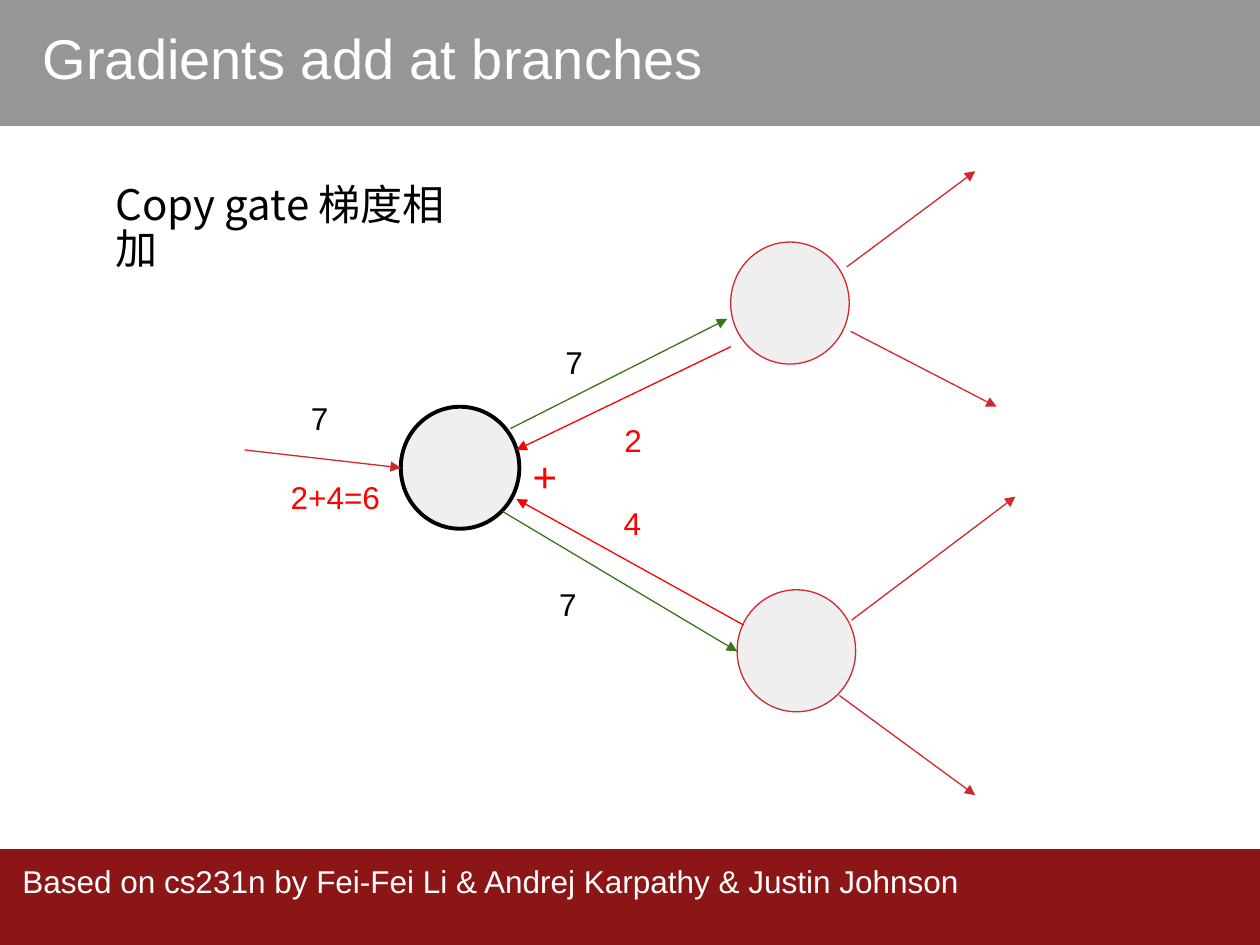
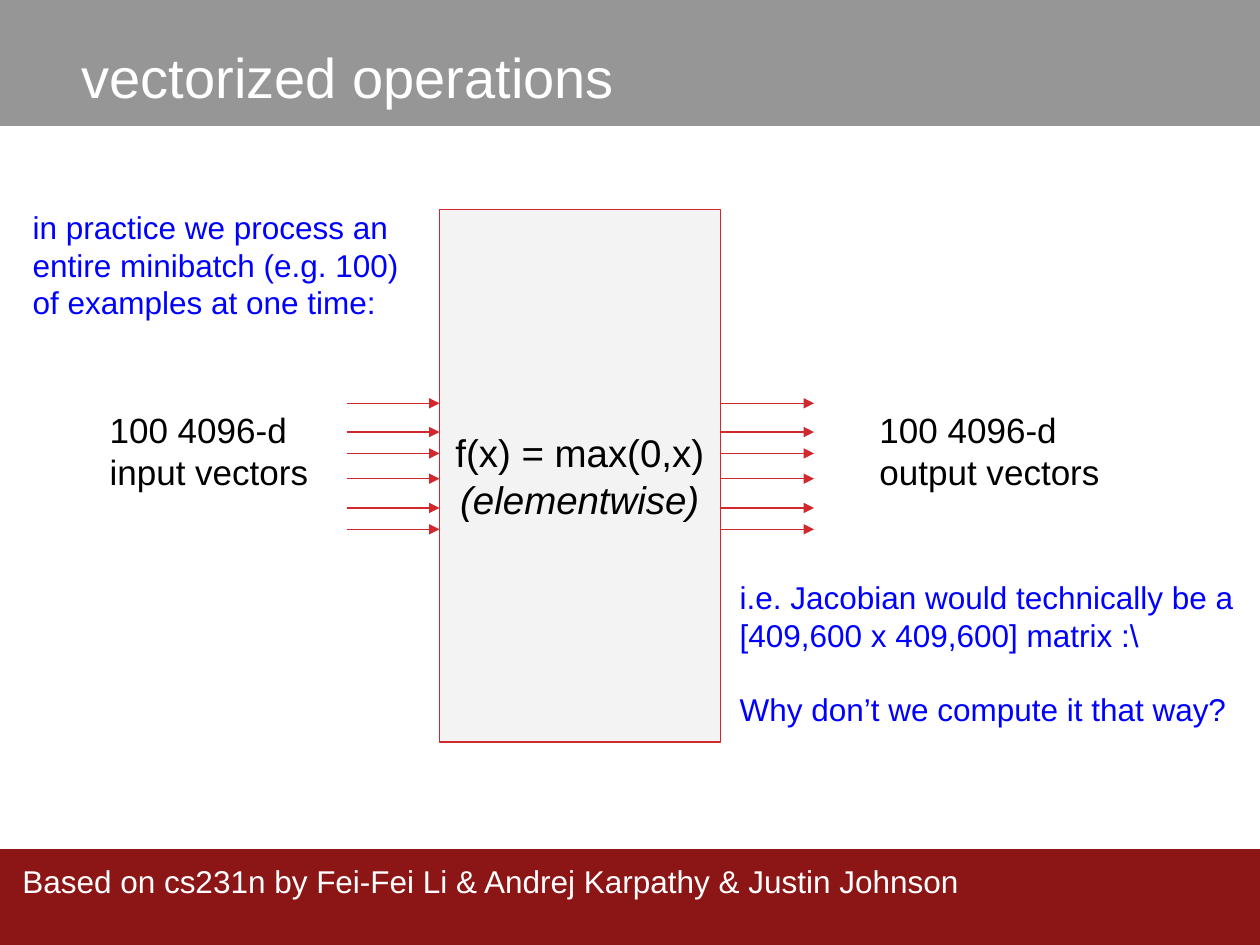
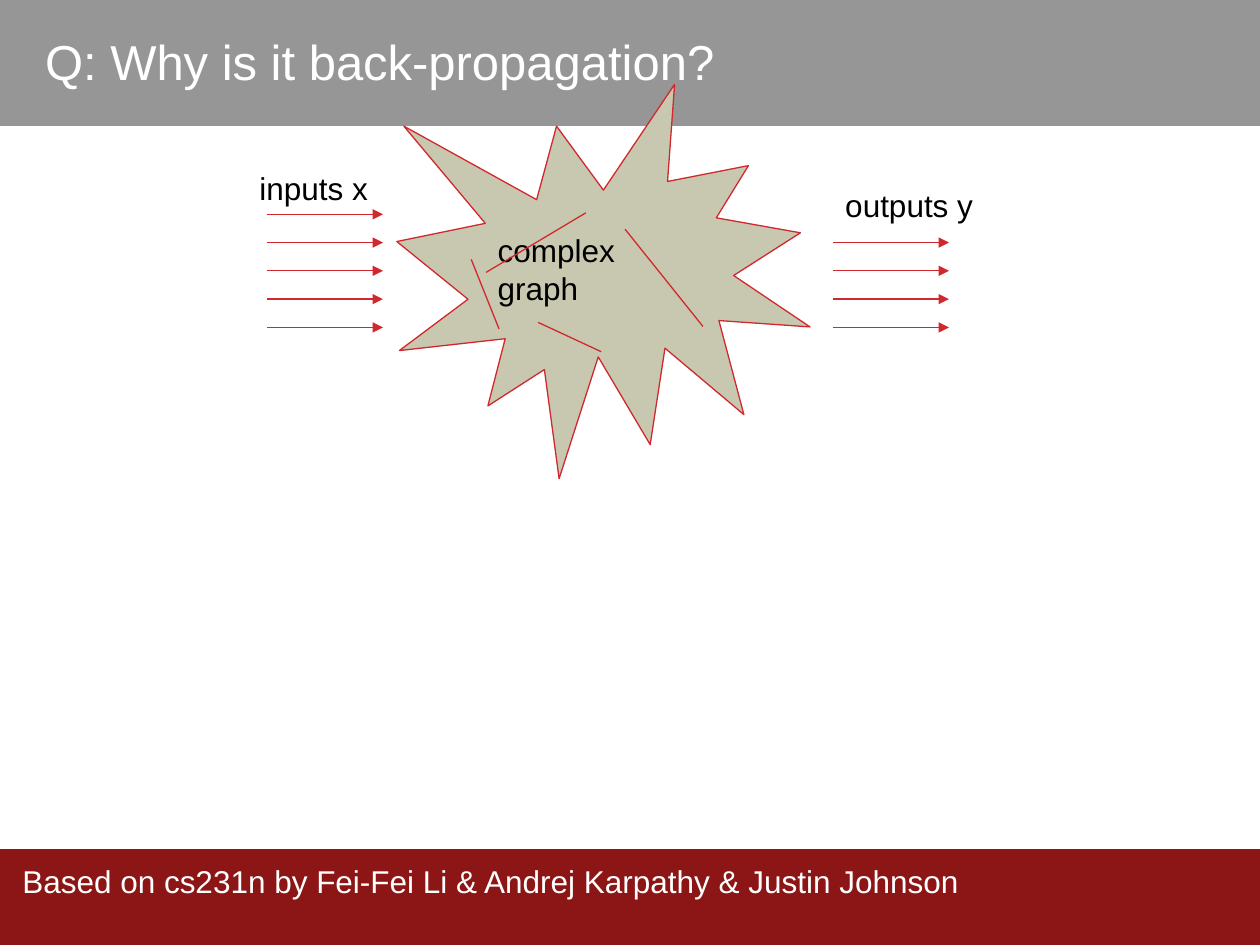
from lxml import etree
from pptx import Presentation
from pptx.dml.color import RGBColor
from pptx.enum.shapes import MSO_CONNECTOR as Connector, MSO_SHAPE as Preset
from pptx.enum.text import MSO_ANCHOR as Anchor, PP_ALIGN as Align
from pptx.oxml.ns import qn
from pptx.util import Cm, Pt

COLORS = {
    "band": "969696", "footer": "8C1515", "white": "FFFFFF", "black": "000000",
    "node": "EFEFEF", "gate": "F3F3F3", "graph": "C8C8B1", "line": "D1282E",
    "forward": "38761D", "gradient": "FF0000", "note": "0000FF",
}
FONT = "Arial"
CHINESE_FONT = "Noto Sans CJK SC"
FOOTER = "Based on cs231n by Fei-Fei Li & Andrej Karpathy & Justin Johnson"
INSET = 0.25
TIGHT = 0.13


def rgb(name):
    return RGBColor.from_string(COLORS[name])


def add_run(paragraph, text, size, color, font=FONT, italic=None):
    run = paragraph.add_run()
    run.text = text
    run.font.size = Pt(size)
    run.font.name = font
    run.font.italic = italic
    run.font.color.rgb = rgb(color)
    if font == CHINESE_FONT:
        east_asian = etree.SubElement(run.font._element, qn("a:ea"))
        east_asian.set("typeface", font)


def set_frame(frame, anchor=Anchor.TOP, vertical=INSET, wrap=True):
    frame.word_wrap = wrap
    frame.vertical_anchor = anchor
    frame.margin_left = frame.margin_right = Cm(INSET)
    frame.margin_top = frame.margin_bottom = Cm(vertical)


def write_lines(frame, lines, size, color, align=Align.LEFT, font=FONT):
    for index, line in enumerate(lines):
        paragraph = frame.add_paragraph() if index else frame.paragraphs[0]
        paragraph.alignment = align
        add_run(paragraph, line, size, color, font)


def add_text(slide, box, lines, size=18, color="black", font=FONT,
             vertical=INSET, wrap=True):
    shape = slide.shapes.add_textbox(*map(Cm, box))
    set_frame(shape.text_frame, vertical=vertical, wrap=wrap)
    write_lines(shape.text_frame, lines, size, color, font=font)
    return shape


def add_figure(slide, preset, box, fill, line=None, weight=0.75):
    shape = slide.shapes.add_shape(preset, *map(Cm, box))
    shape.shadow.inherit = False
    shape.fill.solid()
    shape.fill.fore_color.rgb = rgb(fill)
    if line:
        shape.line.color.rgb = rgb(line)
        shape.line.width = Pt(weight)
    else:
        shape.line.fill.background()
    return shape


def add_line(slide, start, end, color="line", arrow=True):
    connector = slide.shapes.add_connector(
        Connector.STRAIGHT, *map(Cm, (*start, *end)))
    connector.line.color.rgb = rgb(color)
    connector.line.width = Pt(0.75)
    if arrow:
        tail = etree.SubElement(connector.line._get_or_add_ln(), qn("a:tailEnd"))
        tail.set("type", "triangle")
    etree.SubElement(connector.element.spPr, qn("a:effectLst"))


def add_arrow_rows(slide, left, right, rows):
    for row in rows:
        add_line(slide, (left, row), (right, row))


def add_slide(presentation, title, box, size=32):
    """Start a slide with the bands, the footer and its title."""
    slide = presentation.slides.add_slide(presentation.slide_layouts[5])
    add_figure(slide, Preset.RECTANGLE, (0, 0, 25.4, 2.54), "band")
    add_figure(slide, Preset.RECTANGLE, (0, 17.12, 25.4, 1.93), "footer")
    add_text(slide, (0.2, 17.12, 25.2, 1.93), [FOOTER], color="white")

    shape = slide.shapes.title
    shape.left, shape.top, shape.width, shape.height = map(Cm, box)
    set_frame(shape.text_frame)
    write_lines(shape.text_frame, [title], size, "white")
    # Bring the title in front of the band
    shape.element.getparent().append(shape.element)
    return slide


def build_branches(presentation):
    slide = add_slide(presentation, "Gradients add at branches",
                      (0.61, 0.23, 19.28, 2.03))
    # Nodes
    for left, top, line, weight in [
        (8.08, 8.2, "black", 2.25),
        (14.73, 4.88, "line", 0.75),
        (14.86, 11.89, "line", 0.75),
    ]:
        add_figure(slide, Preset.OVAL, (left, top, 2.39, 2.46), "node", line, weight)

    # Forward values, gradients, and arrows in and out
    for start, end, color in [
        ((10.29, 8.64), (14.66, 6.43), "forward"),
        ((10.13, 10.31), (14.86, 13.13), "forward"),
        ((14.73, 6.99), (10.41, 9.07), "gradient"),
        ((14.99, 12.6), (10.41, 10.06), "gradient"),
        ((17.07, 5.38), (19.66, 3.45), "line"),
        ((17.15, 6.68), (20.09, 8.2), "line"),
        ((17.17, 12.5), (20.47, 10.01), "line"),
        ((16.92, 14.02), (19.66, 16.03), "line"),
        ((4.93, 9.07), (8.08, 9.43), "line"),
    ]:
        add_line(slide, start, end, color)

    # Labels
    add_text(slide, (10.49, 8.84, 1.09, 1.17), ["+"], 24, "gradient")
    caption = add_text(slide, (2.08, 3.61, 7.77, 1.27), ["Copy gate 梯度相加"], 24,
                       font=CHINESE_FONT, vertical=TIGHT)
    caption.text_frame.paragraphs[0].line_spacing = 0.87
    for left, top, width, label, color in [
        (6.02, 7.92, 0.86, "7", "black"),
        (11.15, 6.78, 0.86, "7", "black"),
        (11.02, 11.66, 0.86, "7", "black"),
        (12.34, 8.36, 0.86, "2", "gradient"),
        (12.32, 10.03, 0.86, "4", "gradient"),
        (5.61, 9.5, 2.34, "2+4=6", "gradient"),
    ]:
        add_text(slide, (left, top, width, 1.02), [label], color=color,
                 vertical=TIGHT, wrap=False)


def build_vectorized(presentation):
    slide = add_slide(presentation, "vectorized operations",
                      (1.4, 0.61, 20.19, 2.08))
    # Vectors entering and leaving the gate
    rows = [8.13, 8.71, 9.14, 9.65, 10.24, 10.67]
    for left, right in [(6.99, 8.86), (14.53, 16.41)]:
        add_arrow_rows(slide, left, right, rows)
    for left, width, kind in [(1.96, 6.76, "input"), (17.48, 5.23, "output")]:
        add_text(slide, (left, 7.98, width, 1.73),
                 ["100 4096-d", f"{kind} vectors"], 20)

    # Notes
    add_text(slide, (0.41, 3.94, 8.26, 2.41),
             ["in practice we process an entire minibatch (e.g. 100) "
              "of examples at one time:"], color="note")
    jacobian = add_text(slide, (14.66, 11.4, 10.72, 4.85),
                        ["i.e. Jacobian would technically be a",
                         "[409,600 x 409,600] matrix :\\",
                         "Why don’t we compute it that way?"], color="note")
    jacobian.text_frame.paragraphs[2].space_before = Pt(20.7)

    # Gate
    gate = add_figure(slide, Preset.RECTANGLE, (8.86, 4.22, 5.66, 10.74),
                      "gate", "line")
    set_frame(gate.text_frame, Anchor.MIDDLE)
    write_lines(gate.text_frame, ["f(x) = max(0,x)", "(elementwise)"], 22,
                "black", Align.CENTER)
    gate.text_frame.paragraphs[1].runs[0].font.italic = True


def build_back_propagation(presentation):
    slide = add_slide(presentation, "Q: Why is it back-propagation?",
                      (0.66, 0.38, 24.08, 2.16), 28)
    # Inputs and outputs
    rows = [4.32 + 0.57 * index for index in range(5)]
    add_arrow_rows(slide, 5.38, 7.72, rows)
    add_arrow_rows(slide, 16.79, 19.13, rows[1:])
    add_text(slide, (4.98, 3.15, 3.61, 0.71), ["inputs x"])
    add_text(slide, (16.79, 3.51, 4.06, 0.71), ["outputs y"])

    # Complex graph and its edges
    graph = add_figure(slide, Preset.EXPLOSION1, (8, 1.7, 8.33, 7.95),
                       "graph", "line")
    set_frame(graph.text_frame, Anchor.MIDDLE)
    write_lines(graph.text_frame, ["complex graph"], 18, "black")
    for start, end in [
        ((9.5, 5.23), (10.06, 6.63)),
        ((9.8, 5.49), (11.81, 4.29)),
        ((10.85, 6.5), (12.12, 7.09)),
        ((12.6, 4.62), (14.17, 6.58)),
    ]:
        add_line(slide, start, end, arrow=False)


def main():
    presentation = Presentation()
    presentation.slide_width = Cm(25.4)
    presentation.slide_height = Cm(19.05)
    build_branches(presentation)
    build_vectorized(presentation)
    build_back_propagation(presentation)
    presentation.save("out.pptx")


if __name__ == "__main__":
    main()
